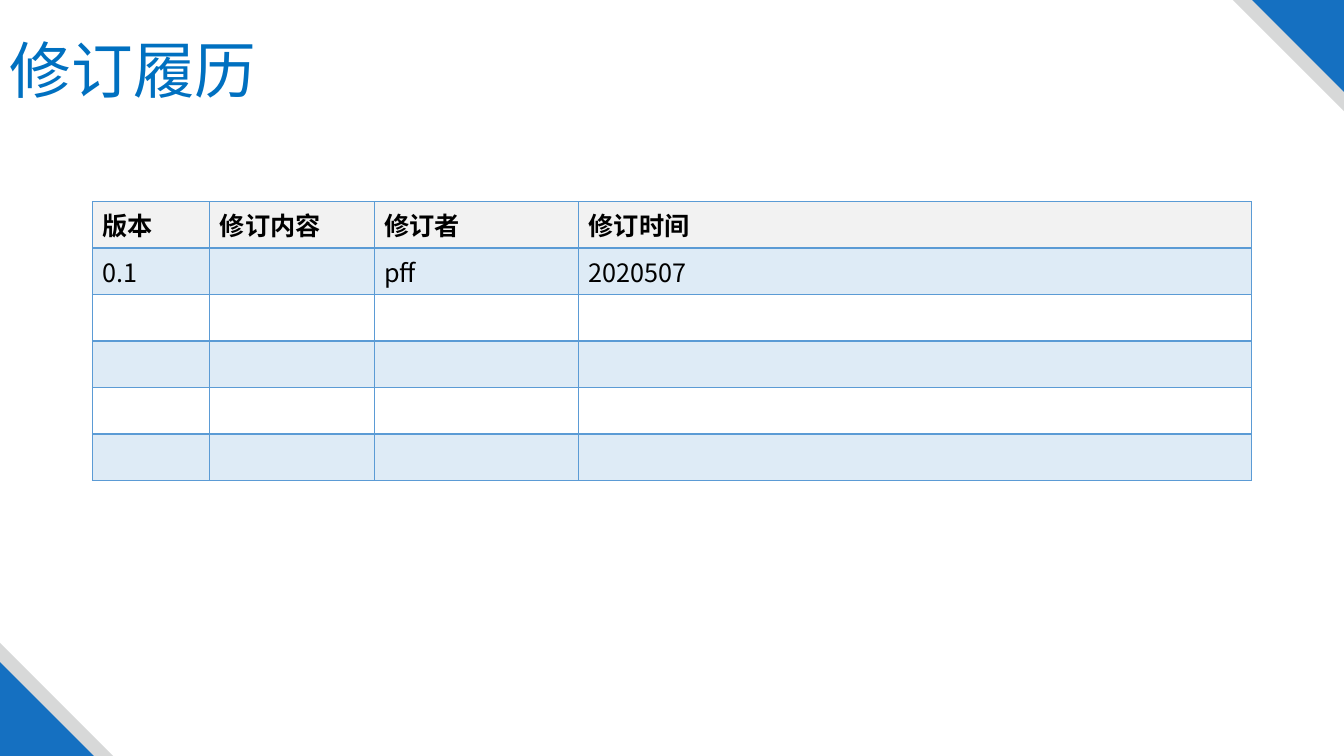
from lxml import etree
from pptx import Presentation
from pptx.dml.color import RGBColor
from pptx.enum import shapes, text
from pptx.oxml import ns
from pptx.util import Pt

FONT = "Noto Sans CJK SC"
BLACK = RGBColor(0x00, 0x00, 0x00)
TITLE_BLUE = RGBColor(0x00, 0x70, 0xC0)
CORNER_BLUE = RGBColor(0x15, 0x70, 0xC1)
CORNER_GRAY = RGBColor(0xD7, 0xD8, 0xD8)
TABLE_BLUE = RGBColor(0x5B, 0x9B, 0xD5)
HEADER_GRAY = RGBColor(0xF2, 0xF2, 0xF2)

PAGE_WIDTH, PAGE_HEIGHT = 960, 540
COLUMN_WIDTHS = [83.9, 117.4, 146, 480.7]
REVISIONS = [
    ["版本", "修订内容", "修订者", "修订时间"],
    ["0.1", "", "pff", "2020507"],
    *[[""] * 4 for _ in range(4)],
]


def add_child(parent, tag, **attributes):
    return etree.SubElement(parent, ns.qn(tag), **attributes)


def style_paragraph(para, size, color, bold=False):
    font = para.font
    font.name, font.size, font.bold = FONT, Pt(size), bold
    font.color.rgb = color
    defaults = para._p.pPr.find(ns.qn("a:defRPr"))
    add_child(defaults, "a:ea", typeface=FONT)


def add_corner(page, size, color, top_right):
    left, top = (PAGE_WIDTH - size, 0) if top_right else (0, PAGE_HEIGHT - size)
    triangle = page.shapes.add_shape(
        shapes.MSO_SHAPE.RIGHT_TRIANGLE, Pt(left), Pt(top), Pt(size), Pt(size))
    triangle.rotation = 180 if top_right else 0
    triangle.shadow.inherit = False
    triangle.fill.solid()
    triangle.fill.fore_color.rgb = color
    triangle.line.fill.background()


def add_title(page, left, top, width, height):
    box = page.shapes.add_textbox(Pt(left), Pt(top), Pt(width), Pt(height))
    frame = box.text_frame
    frame.word_wrap = True
    frame.vertical_anchor = text.MSO_ANCHOR.MIDDLE
    para = frame.paragraphs[0]
    para.text = "修订履历"
    para.line_spacing = 0.9
    style_paragraph(para, 44, TITLE_BLUE)


def set_borders(cell, widths):
    properties = cell._tc.get_or_add_tcPr()
    for side, width in widths.items():
        line = add_child(properties, f"a:ln{side}", w=str(Pt(width)))
        fill = add_child(line, "a:solidFill")
        add_child(fill, "a:srgbClr", val=str(TABLE_BLUE))


def fill_cell(cell, row):
    if row and row % 2 == 0:
        cell.fill.background()
        return
    cell.fill.solid()
    cell.fill.fore_color.rgb = TABLE_BLUE if row else HEADER_GRAY
    if row:
        color = cell._tc.tcPr.find(f"{ns.qn('a:solidFill')}/{ns.qn('a:srgbClr')}")
        add_child(color, "a:alpha", val="20000")


def add_revision_table(page, left, top, width, height):
    table = page.shapes.add_table(
        len(REVISIONS), len(COLUMN_WIDTHS), Pt(left), Pt(top), Pt(width), Pt(height)).table
    for column, column_width in zip(table.columns, COLUMN_WIDTHS):
        column.width = Pt(column_width * width / sum(COLUMN_WIDTHS))
    for row, values in enumerate(REVISIONS):
        borders = {"L": 1, "R": 1, "T": 2 if row == 1 else 1, "B": 2 if row == 0 else 1}
        for column, value in enumerate(values):
            cell = table.cell(row, column)
            set_borders(cell, borders)
            fill_cell(cell, row)
            if value:
                cell.text = value
            style_paragraph(cell.text_frame.paragraphs[0], 18, BLACK, bold=row == 0)


def main():
    deck = Presentation()
    deck.slide_width, deck.slide_height = Pt(PAGE_WIDTH), Pt(PAGE_HEIGHT)
    page = deck.slides.add_slide(deck.slide_layouts[6])
    add_corner(page, 79.4, CORNER_GRAY, top_right=True)
    add_corner(page, 65.7, CORNER_BLUE, top_right=True)
    add_corner(page, 80.8, CORNER_GRAY, top_right=False)
    add_corner(page, 67, CORNER_BLUE, top_right=False)
    add_title(page, 0, 0, 828, 104.4)
    add_revision_table(page, 66, 144, 828, 199.2)
    deck.save("out.pptx")


if __name__ == "__main__":
    main()
